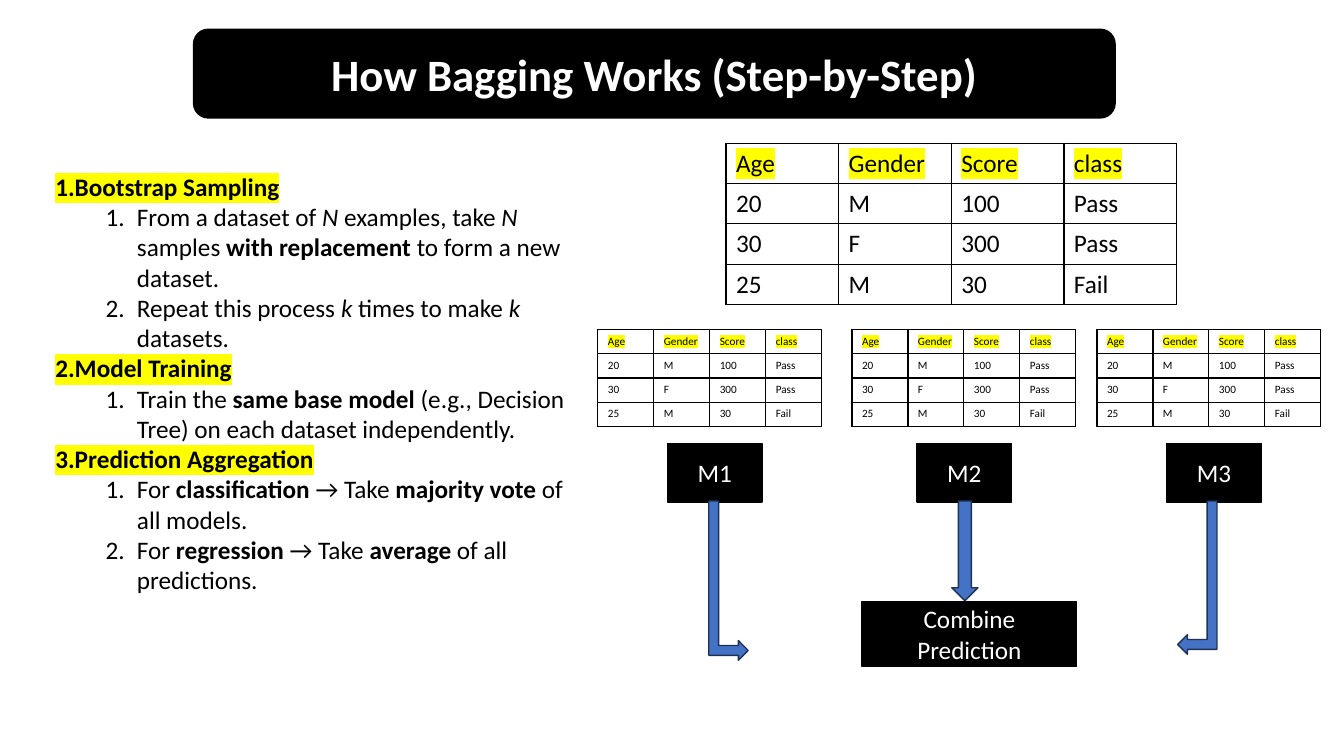
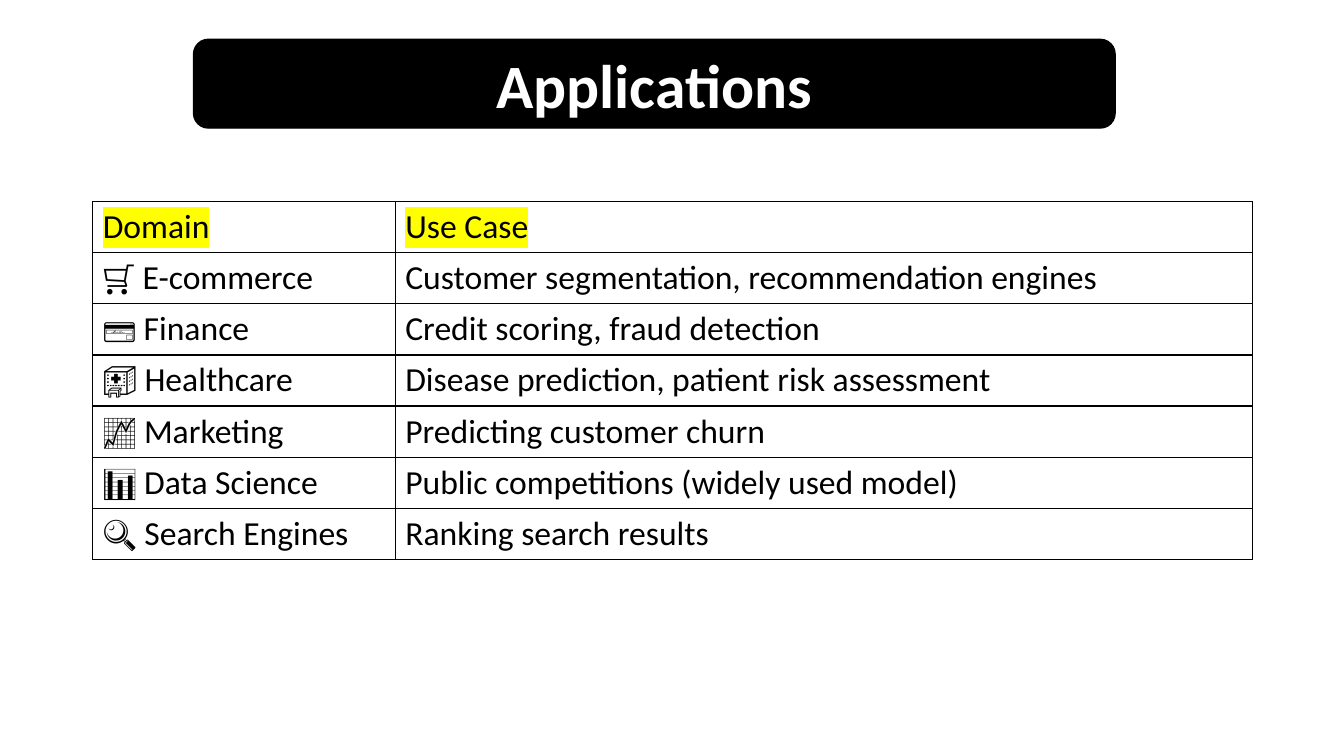
import dataclasses

import lxml.etree
import pptx
import pptx.dml.color
import pptx.enum.shapes
import pptx.enum.text
import pptx.oxml.ns
import pptx.util

Inches = pptx.util.Inches
Pt = pptx.util.Pt
SHAPES = pptx.enum.shapes.MSO_SHAPE
ANCHOR = pptx.enum.text.MSO_ANCHOR
ALIGN = pptx.enum.text.PP_ALIGN
AUTO_SIZE = pptx.enum.text.MSO_AUTO_SIZE
qn = pptx.oxml.ns.qn


@dataclasses.dataclass(frozen=True)
class Theme:
    font: str = "Calibri"
    dark: str = "000000"
    light: str = "FFFFFF"
    highlight: str = "FFFF00"
    arrow: str = "4472C4"
    arrow_edge: str = "1E3256"
    line: float = 1
    body: float = 18
    sample: float = 8
    applications: float = 24


@dataclasses.dataclass(frozen=True)
class Box:
    left: float
    top: float
    width: float
    height: float

    def lengths(self):
        return [Inches(value) for value in dataclasses.astuple(self)]


THEME = Theme()

STEPS = [
    ("Bootstrap Sampling", [
        [("From a dataset of ", ""), ("N", "italic"), (" examples, take ", ""),
         ("N", "italic"), (" samples ", ""), ("with replacement", "bold"),
         (" to form a new dataset.", "")],
        [("Repeat this process ", ""), ("k", "italic"),
         (" times to make ", ""), ("k", "italic"), (" datasets.", "")],
    ]),
    ("Model Training", [
        [("Train the ", ""), ("same base model", "bold"),
         (" (e.g., Decision Tree) on each dataset independently.", "")],
    ]),
    ("Prediction Aggregation", [
        [("For ", ""), ("classification", "bold"), (" → Take ", ""),
         ("majority vote", "bold"), (" of all models.", "")],
        [("For ", ""), ("regression", "bold"), (" → Take ", ""),
         ("average", "bold"), (" of all predictions.", "")],
    ]),
]

DATASET = [
    ("Age", "Gender", "Score", "class"),
    ("20", "M", "100", "Pass"),
    ("30", "F", "300", "Pass"),
    ("25", "M", "30", "Fail"),
]

APPLICATIONS = [
    ("Domain", "Use Case"),
    ("🛒 E-commerce", "Customer segmentation, recommendation engines"),
    ("💳 Finance", "Credit scoring, fraud detection"),
    ("🏥 Healthcare", "Disease prediction, patient risk assessment"),
    ("📈 Marketing", "Predicting customer churn"),
    ("📊 Data Science", "Public competitions (widely used model)"),
    ("🔍 Search Engines", "Ranking search results"),
]


def rgb(color):
    return pptx.dml.color.RGBColor.from_string(color)


def add_run(paragraph, text, size, color=THEME.dark, highlighted=False, **styles):
    run = paragraph.add_run()
    run.text = text
    formats = {"name": THEME.font, "size": Pt(size), **styles}
    for name, value in formats.items():
        setattr(run.font, name, value)
    run.font.color.rgb = rgb(color)
    if highlighted:
        text_fill = run.font._element.find(qn("a:solidFill"))
        marker = lxml.etree.Element(qn("a:highlight"))
        lxml.etree.SubElement(marker, qn("a:srgbClr"), val=THEME.highlight)
        text_fill.addnext(marker)


def add_block(slide, kind, box, fill=THEME.dark, edge=THEME.dark):
    block = slide.shapes.add_shape(kind, *box.lengths())
    block.shadow.inherit = False
    block.fill.solid()
    block.fill.fore_color.rgb = rgb(fill)
    block.line.color.rgb = rgb(edge)
    block.line.width = Pt(THEME.line)
    return block


def center_text(shape, text, size, **styles):
    frame = shape.text_frame
    frame.word_wrap = True
    frame.auto_size = AUTO_SIZE.NONE
    frame.vertical_anchor = ANCHOR.MIDDLE
    paragraph = frame.paragraphs[0]
    paragraph.alignment = ALIGN.CENTER
    add_run(paragraph, text, size, THEME.light, **styles)


def add_titled_slide(deck, text, top, size):
    """Add a slide whose title sits on a rounded dark band."""
    slide = deck.slides.add_slide(deck.slide_layouts[5])
    box = Box(1.92, top, 9.14, 0.88)
    title = slide.shapes.title
    for name, value in zip(("left", "top", "width", "height"), box.lengths()):
        setattr(title, name, value)
    center_text(title, text, size, bold=True)
    band = add_block(slide, SHAPES.ROUNDED_RECTANGLE, box)
    title.element.addprevious(band.element)
    return slide


def number_paragraph(paragraph, level, margin, indent):
    paragraph.level = level
    properties = paragraph._p.get_or_add_pPr()
    properties.set("marL", str(Inches(margin)))
    properties.set("indent", str(Inches(indent)))
    lxml.etree.SubElement(properties, qn("a:buFont"), typeface="+mj-lt")
    lxml.etree.SubElement(properties, qn("a:buAutoNum"), type="arabicPeriod")


def add_steps(slide, box):
    frame = slide.shapes.add_textbox(*box.lengths()).text_frame
    frame.word_wrap = True
    frame.auto_size = AUTO_SIZE.SHAPE_TO_FIT_TEXT
    for index, (heading, details) in enumerate(STEPS):
        paragraph = frame.add_paragraph() if index else frame.paragraphs[0]
        number_paragraph(paragraph, 0, 0, 0)
        add_run(paragraph, heading, THEME.body, highlighted=True, bold=True)
        for detail in details:
            paragraph = frame.add_paragraph()
            number_paragraph(paragraph, 1, 0.81, -0.31)
            for text, style in detail:
                styles = {style: True} if style else {}
                add_run(paragraph, text, THEME.body, **styles)


def draw_borders(cell):
    properties = cell._tc.get_or_add_tcPr()
    for side in ("lnL", "lnR", "lnT", "lnB"):
        border = lxml.etree.SubElement(
            properties, qn(f"a:{side}"), w=str(Pt(THEME.line)))
        fill = lxml.etree.SubElement(border, qn("a:solidFill"))
        lxml.etree.SubElement(fill, qn("a:srgbClr"), val=THEME.dark)


def add_grid(slide, box, rows, size, shares=None, anchor=ANCHOR.TOP):
    """Add a ruled table; shares gives relative column widths."""
    shares = shares or [1] * len(rows[0])
    table = slide.shapes.add_table(len(rows), len(shares), *box.lengths()).table
    table.first_row = False
    table.horz_banding = False
    for column, share in zip(table.columns, shares):
        column.width = Inches(box.width * share / sum(shares))
    for row_index, texts in enumerate(rows):
        table.rows[row_index].height = Inches(box.height / len(rows))
        for column_index, text in enumerate(texts):
            cell = table.cell(row_index, column_index)
            draw_borders(cell)
            cell.fill.solid()
            cell.fill.fore_color.rgb = rgb(THEME.light)
            cell.vertical_anchor = anchor
            add_run(cell.text_frame.paragraphs[0], text, size,
                    highlighted=row_index == 0)


def add_arrow(slide, kind, box):
    return add_block(slide, kind, box, THEME.arrow, THEME.arrow_edge)


def add_elbow_arrow(slide, box, points_left=False):
    """Add an arrow that runs down and turns sideways, filling box as seen."""
    unturned = Box(box.left + (box.width - box.height) / 2,
                   box.top + (box.height - box.width) / 2,
                   box.height, box.width)
    arrow = add_arrow(slide, SHAPES.BENT_UP_ARROW, unturned)
    arrow.rotation = 90
    if points_left:
        arrow.element.spPr.find(qn("a:xfrm")).set("flipV", "1")


def add_ensemble(slide, box):
    """Draw the dataset, its samples, the models and the combined result."""
    def inside(left, top, width, height):
        return Box(box.left + left, box.top + top, width, height)

    add_grid(slide, inside(1.27, 0, 4.47, 1.6), DATASET, THEME.body)
    for left in (0, 2.52, 4.95):
        add_grid(slide, inside(left, 1.85, 2.22, 0.96), DATASET, THEME.sample)

    nodes = [(f"M{index + 1}", inside(0.69 + 2.475 * index, 2.98, 0.94, 0.58))
             for index in range(3)]
    nodes.append(("Combine Prediction", inside(2.62, 4.55, 2.13, 0.64)))
    for label, place in nodes:
        center_text(add_block(slide, SHAPES.RECTANGLE, place), label, THEME.body)

    arrow_top = 3.55
    add_elbow_arrow(slide, inside(1.1, arrow_top, 0.39, 1.58))
    add_elbow_arrow(slide, inside(5.75, arrow_top, 0.39, 1.52), points_left=True)
    add_arrow(slide, SHAPES.DOWN_ARROW, inside(3.51, arrow_top, 0.26, 0.99))


def build_bagging_slide(deck):
    slide = add_titled_slide(deck, "How Bagging Works (Step-by-Step)", 0.29, 32)
    add_steps(slide, Box(0.45, 1.65, 5.28, 4.34))
    add_ensemble(slide, Box(5.93, 1.42, 7.17, 5.19))


def build_applications_slide(deck):
    slide = add_titled_slide(deck, "Applications", 0.39, 44)
    add_grid(slide, Box(0.92, 2, 11.5, 3.5), APPLICATIONS, THEME.applications,
             shares=(3, 8.5), anchor=ANCHOR.MIDDLE)


def main():
    deck = pptx.Presentation()
    deck.slide_width = Inches(13.33)
    deck.slide_height = Inches(7.5)
    build_bagging_slide(deck)
    build_applications_slide(deck)
    deck.save("out.pptx")


if __name__ == "__main__":
    main()
